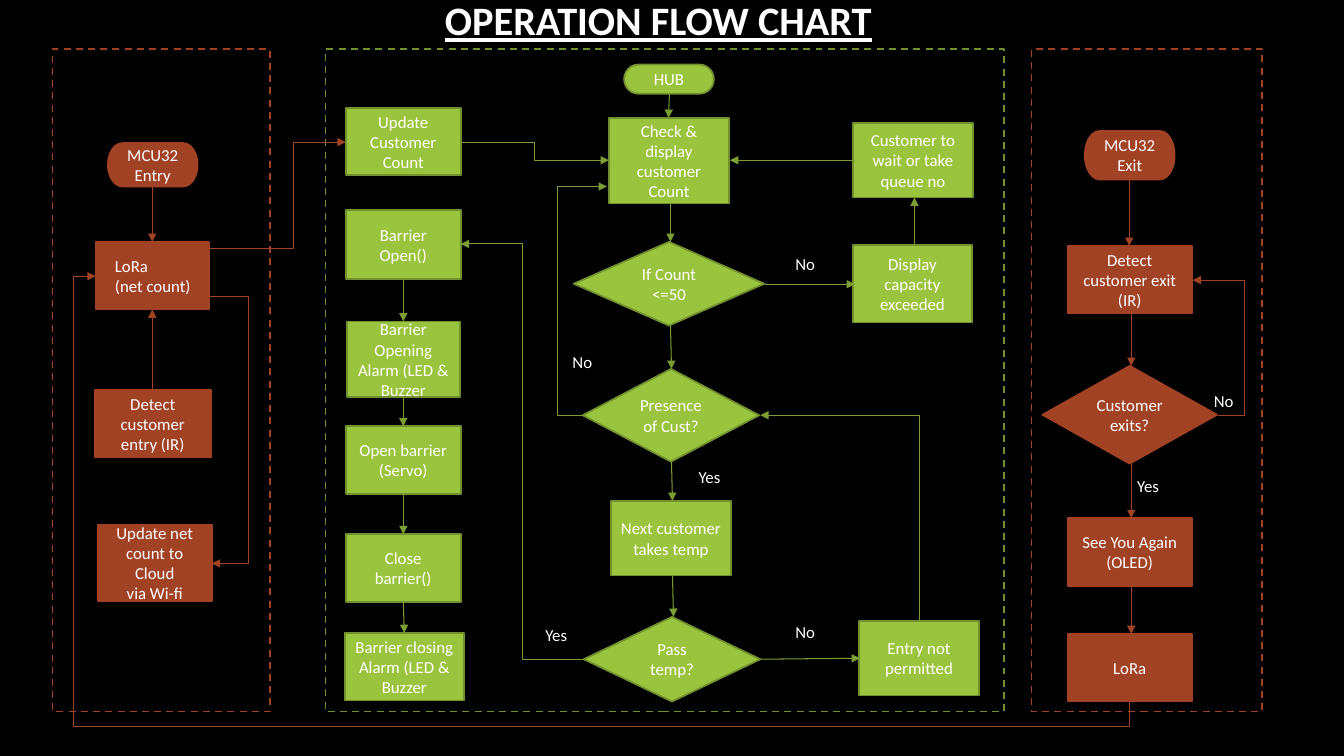
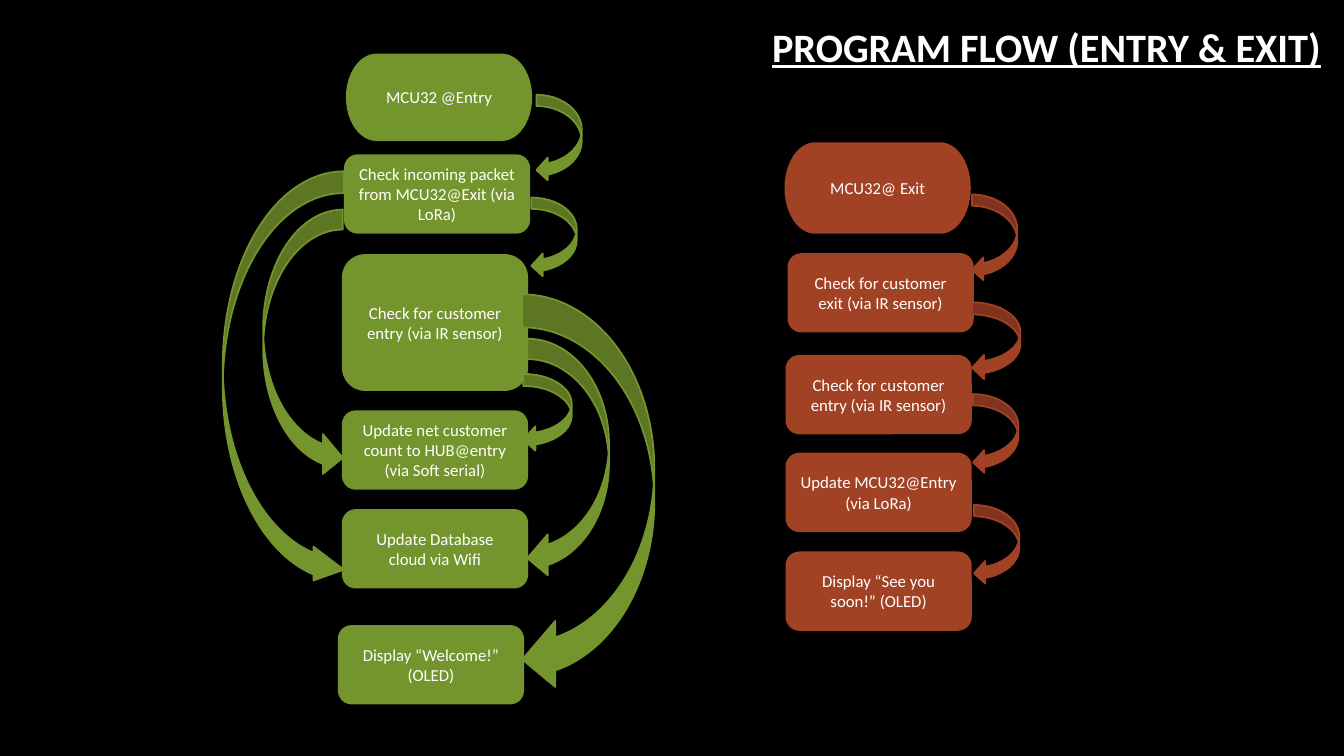
import pptx
import pptx.util
import pptx.dml.color
import pptx.enum.dml
import pptx.enum.shapes
import pptx.enum.text
import pptx.oxml
import pptx.oxml.ns

SHAPES = pptx.enum.shapes.MSO_SHAPE
ALIGN = pptx.enum.text.PP_ALIGN
ANCHOR = pptx.enum.text.MSO_ANCHOR
PROCESS = SHAPES.FLOWCHART_PROCESS
DECISION = SHAPES.FLOWCHART_DECISION
TERMINATOR = SHAPES.FLOWCHART_TERMINATOR
ROUNDED = SHAPES.ROUNDED_RECTANGLE
EMU_PER_PX = 9144

COLORS = {
    "black": "000000",
    "white": "FFFFFF",
    "lime": "9AC43E",
    "moss": "72912E",
    "fern": "7B9D32",
    "olive": "74942D",
    "rust": "A14225",
}
BODY_FONT = {"name": "Calibri", "size": pptx.util.Pt(12)}
TITLE_FONT = {"name": "Calibri", "size": pptx.util.Pt(28.8), "bold": True, "underline": True}
CENTERED = {"alignment": ALIGN.CENTER}
LEFT = {"alignment": ALIGN.LEFT}
TITLE_PARAGRAPH = {"alignment": ALIGN.CENTER, "line_spacing": 0.9}


def emu(px):
    return round(px * EMU_PER_PX)


def color(name):
    return pptx.dml.color.RGBColor.from_string(COLORS[name])


def assign(target, values):
    for name, value in values.items():
        setattr(target, name, value)


class FlowDeck:
    """Hold the presentation, its shared style and the slide being drawn."""

    def __init__(self, width, height):
        self.presentation = pptx.Presentation()
        self.presentation.slide_width = emu(width)
        self.presentation.slide_height = emu(height)
        self.slide = None

    def add_slide(self, title, title_box):
        self.slide = self.presentation.slides.add_slide(self.presentation.slide_layouts[6])
        self.slide.background.fill.solid()
        self.slide.background.fill.fore_color.rgb = color("black")
        self.text_box(title_box, title, TITLE_FONT, TITLE_PARAGRAPH, anchor=ANCHOR.MIDDLE)

    def set_text(self, shape, text, font, paragraph_format, **frame_format):
        frame = shape.text_frame
        assign(frame, {"word_wrap": True, **frame_format})
        for index, line in enumerate(text.split("\n")):
            paragraph = frame.add_paragraph() if index else frame.paragraphs[0]
            assign(paragraph, paragraph_format)
            run = paragraph.add_run()
            run.text = line
            assign(run.font, font)
            run.font.color.rgb = color("white")

    def text_box(self, box, text, font, paragraph_format, anchor):
        shape = self.slide.shapes.add_textbox(*map(emu, box))
        self.set_text(shape, text, font, paragraph_format, vertical_anchor=anchor)

    def label(self, left, top, text):
        self.text_box((left, top, 46, 30), text, BODY_FONT, LEFT, ANCHOR.TOP)

    def outline(self, preset, box, line):
        shape = self.slide.shapes.add_shape(preset, *map(emu, box))
        shape.line.color.rgb = color(line)
        shape.line.width = pptx.util.Pt(1.25)
        shape.shadow.inherit = False
        return shape

    def zone(self, box, line):
        shape = self.outline(SHAPES.RECTANGLE, box, line)
        shape.fill.background()
        shape.line.dash_style = pptx.enum.dml.MSO_LINE.DASH

    def solid(self, preset, box, fill, line):
        shape = self.outline(preset, box, line)
        shape.fill.solid()
        shape.fill.fore_color.rgb = color(fill)
        return shape

    def step(self, preset, box, text, fill, line, paragraph_format=CENTERED, **frame_format):
        shape = self.solid(preset, box, fill, line)
        self.set_text(shape, text, BODY_FONT, paragraph_format,
                      vertical_anchor=ANCHOR.MIDDLE, **frame_format)

    def curved_arrow(self, preset, box, fill, adjustments=()):
        shape = self.solid(preset, box, fill, fill)
        for index, value in enumerate(adjustments):
            shape.adjustments[index] = value

    def arrow(self, begin, end, line, kind=pptx.enum.shapes.MSO_CONNECTOR.STRAIGHT):
        connector = self.slide.shapes.add_connector(kind, *map(emu, (*begin, *end)))
        connector.line.color.rgb = color(line)
        connector.line.width = pptx.util.Pt(0.75)
        properties = connector.element.spPr
        tail = pptx.oxml.parse_xml(
            '<a:tailEnd %s type="triangle"/>' % pptx.oxml.ns.nsdecls("a"))
        properties.find(pptx.oxml.ns.qn("a:ln")).append(tail)
        properties.append(
            pptx.oxml.parse_xml("<a:effectLst %s/>" % pptx.oxml.ns.nsdecls("a")))
        return connector

    def elbow(self, begin, end, bends, line, rotation=0):
        cosine, sine = {0: (1, 0), 90: (0, 1), 180: (-1, 0), 270: (0, -1)}[rotation]
        middle_x, middle_y = (begin[0] + end[0]) / 2, (begin[1] + end[1]) / 2

        def unrotated(point):
            x, y = point[0] - middle_x, point[1] - middle_y
            return middle_x + x * cosine + y * sine, middle_y + y * cosine - x * sine

        connector = self.arrow(unrotated(begin), unrotated(end), line,
                               pptx.enum.shapes.MSO_CONNECTOR.ELBOW)
        properties = connector.element.spPr
        if rotation:
            properties.find(pptx.oxml.ns.qn("a:xfrm")).set("rot", str(rotation * 60000))
        geometry = properties.find(pptx.oxml.ns.qn("a:prstGeom"))
        geometry.set("prst", "bentConnector%d" % (len(bends) + 2))
        guides = geometry.find(pptx.oxml.ns.qn("a:avLst"))
        axes = (0, 1) if rotation % 180 == 0 else (1, 0)
        for index, (axis, bend) in enumerate(zip(axes, bends), 1):
            share = (bend - begin[axis]) / (end[axis] - begin[axis])
            guides.append(pptx.oxml.parse_xml(
                '<a:gd %s name="adj%d" fmla="val %d"/>'
                % (pptx.oxml.ns.nsdecls("a"), index, round(share * 100000))))


def operation_slide(deck):
    deck.add_slide("OPERATION FLOW CHART", (417, -4, 472, 53))

    for left, width, line in ((52, 216, "rust"), (323, 673, "moss"), (1023, 229, "rust")):
        deck.zone((left, 49, width, 657), line)

    lime_steps = (
        (TERMINATOR, (619, 64, 89, 29), "HUB"),
        (PROCESS, (604, 117, 119, 85), "Check & display customer Count"),
        (DECISION, (569, 240, 189, 83), "If Count <=50"),
        (DECISION, (578, 366, 175, 92), "Presence of Cust?"),
        (PROCESS, (606, 497, 119, 74), "Next customer takes temp"),
        (DECISION, (579, 612, 175, 84), "Pass temp?"),
        (PROCESS, (846, 122, 119, 74), "Customer to wait or take queue no"),
        (PROCESS, (846, 243, 118, 77), "Display capacity exceeded"),
        (PROCESS, (852, 616, 119, 74), "Entry not permitted"),
        (PROCESS, (343, 107, 114, 67), "Update Customer Count"),
        (PROCESS, (343, 208, 114, 69), "Barrier Open()"),
        (PROCESS, (344, 319, 112, 75), "Barrier Opening Alarm (LED & Buzzer"),
        (PROCESS, (343, 423, 114, 67), "Open barrier (Servo)"),
        (PROCESS, (343, 530, 114, 67), "Close barrier()"),
        (PROCESS, (342, 628, 118, 67), "Barrier closing Alarm (LED & Buzzer"),
    )
    for preset, box, text in lime_steps:
        deck.step(preset, box, text, "lime", "moss")

    rust_steps = (
        (TERMINATOR, (107, 142, 89, 43), "MCU32 Entry"),
        (PROCESS, (94, 387, 115, 67), "Detect customer entry (IR)"),
        (PROCESS, (97, 521, 113, 75), "Update net count to Cloud\nvia Wi-fi"),
        (TERMINATOR, (1076, 130, 89, 48), "MCU32 Exit"),
        (PROCESS, (1059, 244, 123, 67), "Detect customer exit (IR)"),
        (DECISION, (1034, 363, 173, 97), "Customer exits?"),
        (PROCESS, (1059, 514, 123, 67), "See You Again (OLED)"),
        (PROCESS, (1059, 629, 123, 67), "LoRa"),
    )
    for preset, box, text in rust_steps:
        deck.step(preset, box, text, "rust", "rust")
    deck.step(PROCESS, (95, 240, 112, 67), "LoRa\n(net count)", "rust", "rust",
              LEFT, margin_left=emu(19))

    straight_arrows = {
        "fern": (
            ((664, 93), (663, 117)), ((665, 202), (665, 240)), ((665, 323), (666, 366)),
            ((666, 458), (667, 497)), ((667, 571), (668, 612)),
            ((759, 282), (848, 282)), ((907, 243), (907, 196)), ((848, 159), (724, 159)),
            ((755, 654), (853, 653)),
            ((400, 277), (400, 319)), ((400, 394), (400, 423)),
            ((400, 489), (400, 530)), ((400, 597), (401, 628)),
        ),
        "rust": (
            ((151, 185), (151, 240)), ((151, 387), (151, 307)),
            ((1120, 178), (1120, 244)), ((1122, 311), (1122, 363)),
            ((1122, 460), (1122, 514)), ((1122, 580), (1122, 629)),
        ),
    }
    for line, arrows in straight_arrows.items():
        for begin, end in arrows:
            deck.arrow(begin, end, line)

    elbows = (
        ((912, 616), (754, 412), (), "fern", 270),
        ((579, 412), (602, 185), (553, 185), "fern", 180),
        ((579, 654), (457, 242), (518,), "fern", 180),
        ((457, 141), (604, 159), (530,), "fern", 0),
        ((1208, 412), (1183, 278), (1234,), "rust", 0),
        ((1120, 696), (95, 274), (721, 72), "rust", 90),
        ((207, 247), (343, 141), (291,), "rust", 0),
        ((207, 298), (210, 559), (294, 247), "rust", 270),
    )
    for begin, end, bends, line, rotation in elbows:
        deck.elbow(begin, end, bends, line, rotation)

    labels = {
        "Yes": ((1118, 467), (531, 615), (683, 458)),
        "No": ((1194, 383), (779, 247), (558, 344), (779, 612)),
    }
    for text, corners in labels.items():
        for left, top in corners:
            deck.label(left, top, text)


def program_slide(deck):
    deck.add_slide("PROGRAM FLOW (ENTRY & EXIT)", (742, 19, 592, 60))
    step_width = 183

    columns = {
        "olive": (
            (TERMINATOR, 344, 54, 85, "MCU32 @Entry"),
            (ROUNDED, 342, 154, 77, "Check incoming packet from MCU32@Exit (via LoRa)"),
            (ROUNDED, 340, 253, 134, "Check for customer entry (via IR sensor)"),
            (ROUNDED, 340, 408, 77, "Update net customer count to HUB@entry (via Soft serial)"),
            (ROUNDED, 340, 506, 77, "Update Database cloud via Wifi"),
            (ROUNDED, 336, 621, 77, "Display “Welcome!” (OLED)"),
        ),
        "rust": (
            (TERMINATOR, 779, 142, 89, "MCU32@ Exit"),
            (ROUNDED, 782, 252, 77, "Check for customer exit (via IR sensor)"),
            (ROUNDED, 780, 353, 77, "Check for customer entry (via IR sensor)"),
            (ROUNDED, 780, 450, 77, "Update MCU32@Entry (via LoRa)"),
            (ROUNDED, 780, 548, 77, "Display “See you soon!” (OLED)"),
        ),
    }
    for fill, steps in columns.items():
        for preset, left, top, height, text in steps:
            deck.step(preset, (left, top, step_width, height), text, fill, fill)

    left_arrows = {
        "olive": (
            (532, 94, 45, 86), (519, 371, 48, 77), (523, 336, 81, 238),
            (527, 196, 45, 79), (518, 292, 131, 395),
        ),
        "rust": (
            (964, 193, 45, 86), (964, 300, 48, 77), (965, 391, 45, 79), (966, 501, 45, 79),
        ),
    }
    for fill, boxes in left_arrows.items():
        for box in boxes:
            deck.curved_arrow(SHAPES.CURVED_LEFT_ARROW, box, fill)
    deck.curved_arrow(SHAPES.CURVED_RIGHT_ARROW, (221, 170, 120, 412), "olive",
                      (0.18, 0.28, 0.25))
    deck.curved_arrow(SHAPES.CURVED_RIGHT_ARROW, (261, 208, 79, 266), "olive")


def main():
    deck = FlowDeck(1333, 750)
    operation_slide(deck)
    program_slide(deck)
    deck.presentation.save("out.pptx")


if __name__ == "__main__":
    main()
